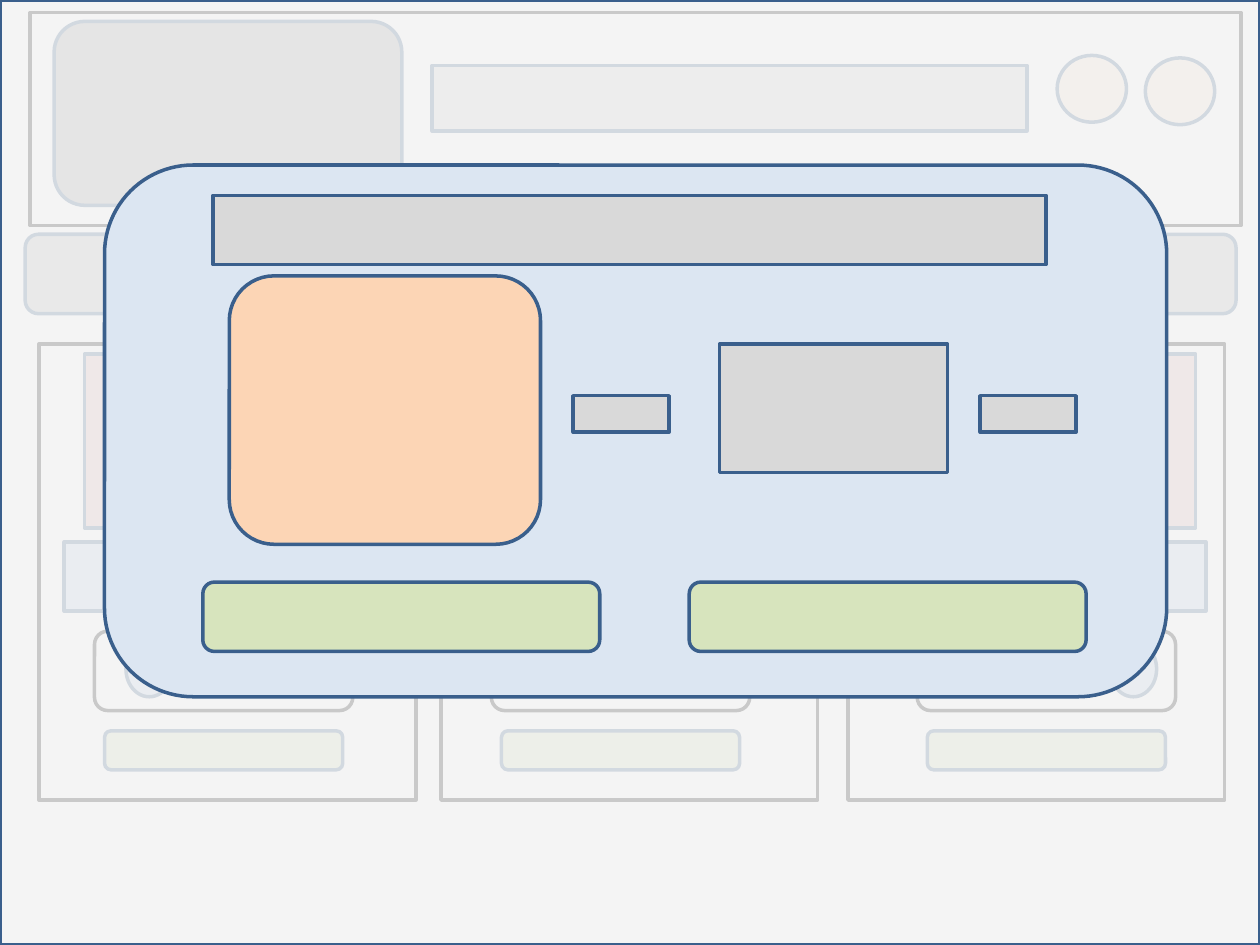
from lxml.etree import SubElement
from pptx import Presentation
from pptx.dml.color import RGBColor
from pptx.enum.shapes import MSO_SHAPE
from pptx.oxml.ns import qn
from pptx.util import Inches, Pt

RECT = MSO_SHAPE.RECTANGLE
ROUND = MSO_SHAPE.ROUNDED_RECTANGLE
OVAL = MSO_SHAPE.OVAL
FRAME = MSO_SHAPE.FLOWCHART_ALTERNATE_PROCESS
BLACK, NAVY, WHITE = "000000", "3A5F8C", "FFFFFF"
GREY, BLUE, GREEN, PEACH = "D9D9D9", "C6D9F1", "D7E4BD", "FDEADA"

deck = Presentation()
deck.slide_width, deck.slide_height = Inches(10), Inches(7.5)
slide = deck.slides.add_slide(deck.slide_layouts[6])

# The slide is a grid of 100 columns by 75 rows.
COL = deck.slide_width / 100
ROW = deck.slide_height / 75


def color(target, value):
    target.rgb = RGBColor.from_string(value)


def box(kind, x, y, w, h, fill=None, line=NAVY):
    """Draw a shape placed in grid columns and rows."""
    shape = slide.shapes.add_shape(
        kind, round(x * COL), round(y * ROW), round(w * COL), round(h * ROW))
    shape.shadow.inherit = False
    if fill:
        shape.fill.solid()
        color(shape.fill.fore_color, fill)
    else:
        shape.fill.background()
    color(shape.line.color, line)
    shape.line.width = Pt(2)
    return shape


# Page header and menu bar
box(RECT, 2.4, 1, 96.1, 16.9, WHITE, BLACK)
box(ROUND, 4.3, 1.7, 27.6, 14.6, "A6A6A6")
box(OVAL, 90.9, 4.6, 5.5, 5.3, PEACH)
box(OVAL, 83.9, 4.4, 5.5, 5.3, PEACH)
box(RECT, 34.3, 5.2, 47.2, 5.2, GREY)
box(ROUND, 2, 18.6, 96.1, 6.3, "BFBFBF")

# Product cards: left of card, left of counter, fill
for x, left, fill in ((3.1, 7.5, WHITE), (35, 39, None), (67.3, 72.8, None)):
    box(RECT, x, 27.3, 29.9, 36.2, fill, BLACK)
    box(ROUND, left + 0.8, 58, 18.9, 3.1, GREEN)
    box(FRAME, left, 50.1, 20.5, 6.3, None, BLACK)

# Photo, name and button of the outer cards
for photo, name, knob in ((6.7, 5.1, 10), (72.1, 68.9, 88.1)):
    box(RECT, photo, 28.1, 22.8, 13.8, "E6B9B8")
    box(RECT, name, 43, 26.8, 5.5, BLUE)
    box(OVAL, knob, 50.9, 3.7, 4.4, BLUE)

# Veil over the page
veil = box(RECT, 0, 0, 100, 75, "F2F2F2")
tint = veil.fill._xPr.find(".//" + qn("a:srgbClr"))
SubElement(tint, qn("a:alpha"), val="83000")

# Dialog
box(ROUND, 8.3, 13.1, 84.3, 42.2, "DCE6F2")
box(RECT, 16.9, 15.5, 66.1, 5.5, GREY)
box(ROUND, 18.2, 21.9, 24.7, 21.3, "FCD5B5")
box(RECT, 57.1, 27.3, 18.1, 10.2, GREY)
for x in (45.5, 77.8):
    box(RECT, x, 31.4, 7.6, 2.9, GREY)
for x in (16.1, 54.7):
    box(ROUND, x, 46.2, 31.5, 5.5, GREEN)

deck.save("out.pptx")
